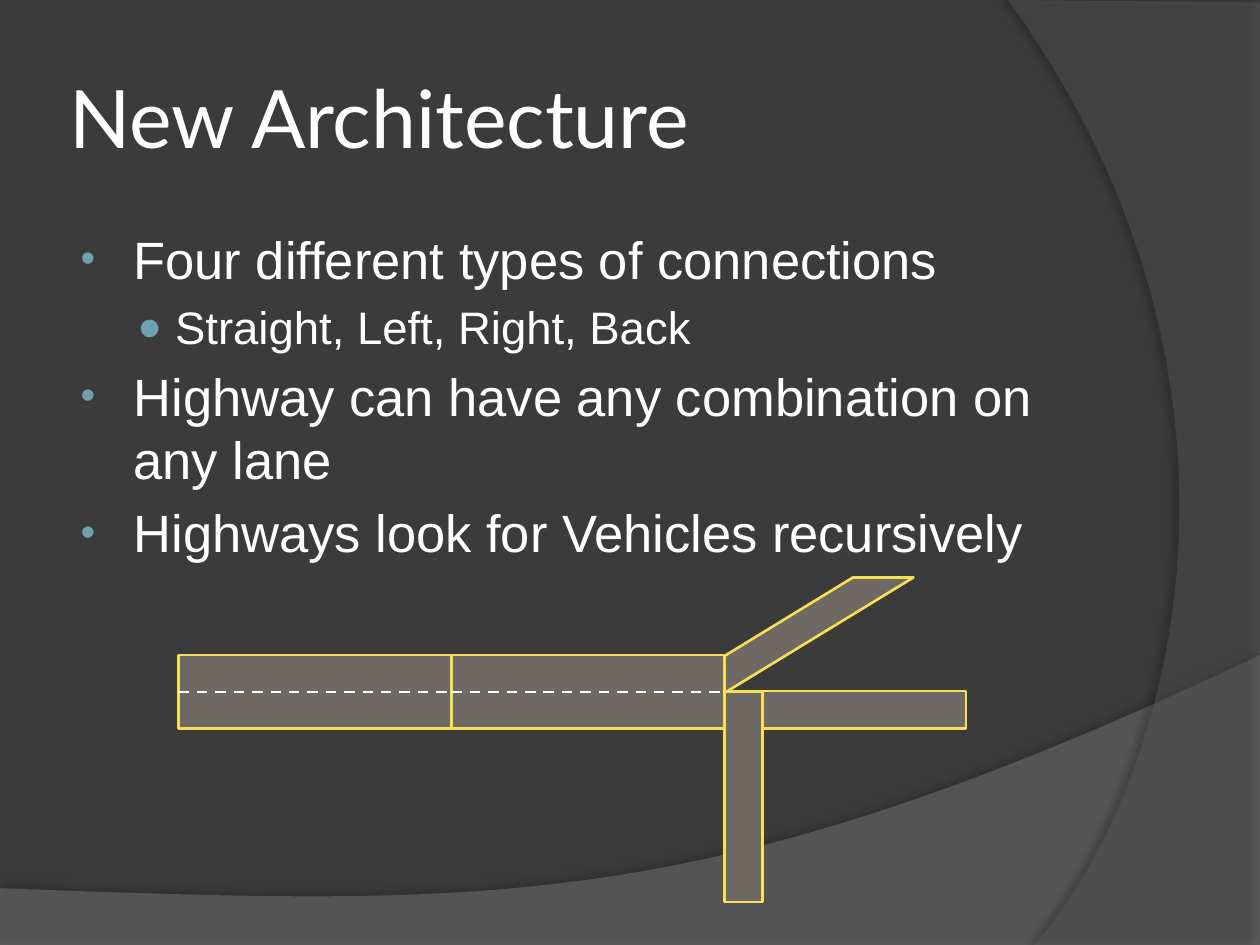
from typing import NamedTuple

from lxml.etree import SubElement as Sub
from pptx import Presentation
from pptx.dml.color import RGBColor as Rgb
from pptx.enum.dml import MSO_LINE as Dash
from pptx.enum.shapes import MSO_CONNECTOR as Conn, MSO_SHAPE as Kind
from pptx.enum.text import MSO_ANCHOR as Anchor, MSO_AUTO_SIZE as Fit, PP_ALIGN as Align
from pptx.oxml.ns import qn
from pptx.util import Inches, Pt

CELL = Inches(1) / 12
WHITE, TEAL, ROAD, EDGE = "FFFFFF", "6EA0B0", "6E6964", "F7DF56"


class Wave(NamedTuple):
    """A translucent background shape; points are in inches."""
    points: list
    fill: str
    alpha: int
    shade: int
    dist: float
    angle: int


class Item(NamedTuple):
    """One bulleted line."""
    text: str
    level: int = 0


class Style(NamedTuple):
    """The look of one list level."""
    size: int
    left: float
    hang: float
    mark: str
    share: int


class Lane(NamedTuple):
    """A road piece in grid columns and rows."""
    col: float
    row: float
    cols: float
    rows: float
    kind: Kind = Kind.RECTANGLE
    split: bool = False


def bend(a, b, c, d, steps=60) -> list:
    """Return points along a cubic curve."""
    def at(t, i):
        s = 1 - t
        return s**3 * a[i] + 3 * s * s * t * b[i] + 3 * s * t * t * c[i] + t**3 * d[i]
    return [(at(n / steps, 0), at(n / steps, 1)) for n in range(steps + 1)]


WAVES = [
    Wave([(0, 7.5), (10, 7.5)] + bend((10, 5.2), (5.59, 7.29), (3.91, 7.19), (0, 7.05)),
         "7F7F7F", 45, 35, 3.5, 270),
    Wave([(10, 0.02), (10, 7.5)] + bend((8.21, 7.5), (9.35, 6.19), (10.18, 3), (8, 0)),
         "5E5E5E", 40, 45, 4, 180),
]
ITEMS = [
    Item("Four different types of connections"),
    Item("Straight, Left, Right, Back", 1),
    Item("Highway can have any combination on any lane"),
    Item("Highways look for Vehicles recursively"),
]
STYLES = [Style(30, 0.46, -0.42, "•", 80), Style(26, 0.79, -0.3, "●", 90)]
LANES = [
    Lane(17, 62.4, 26, 7, split=True),
    Lane(43, 62.4, 26, 7, split=True),
    Lane(69, 55, 18, 11, Kind.DIAGONAL_STRIPE),
    Lane(69, 65.8, 23, 3.6),
    Lane(69, 65.9, 3.6, 20),
]


def paint(form, tone: str) -> None:
    """Give a fill, line or font colour."""
    if hasattr(form, "solid"):
        form.solid()
        form.fore_color.rgb = Rgb.from_string(tone)
    else:
        form.color.rgb = Rgb.from_string(tone)


def place(shape, left: float, top: float, width: float, height: float) -> None:
    """Move a shape to a box in inches."""
    shape.left, shape.top = Inches(left), Inches(top)
    shape.width, shape.height = Inches(width), Inches(height)


def draw_wave(slide, wave: Wave, depth: int) -> None:
    """Draw a wave with its soft shadow behind the text."""
    first, *rest = [(Inches(x), Inches(y)) for x, y in wave.points]
    pen = slide.shapes.build_freeform(*first)
    pen.add_line_segments(rest, close=True)
    shape = pen.convert_to_shape()
    shape.shadow.inherit = False
    paint(shape.fill, wave.fill)
    shape.line.fill.background()
    node = shape.element
    tone = node.spPr.find(qn("a:solidFill")).find(qn("a:srgbClr"))
    Sub(tone, qn("a:alpha"), val=str(wave.alpha * 1000))
    glow = Sub(node.spPr.find(qn("a:effectLst")), qn("a:outerShdw"),
               blurRad=str(Pt(4)), dist=str(Pt(wave.dist)),
               dir=str(wave.angle * 60000), algn="ctr", rotWithShape="0")
    black = Sub(glow, qn("a:srgbClr"), val="000000")
    Sub(black, qn("a:alpha"), val=str(wave.shade * 1000))
    node.getparent().insert(2 + depth, node)


def set_font(para, name: str, size: int) -> None:
    """Set the white face of a paragraph."""
    para.font.name, para.font.size = name, Pt(size)
    paint(para.font, WHITE)


def write_item(para, item: Item) -> None:
    """Fill in one bulleted paragraph."""
    look = STYLES[item.level]
    para.text, para.level = item.text, item.level
    props = para._p.get_or_add_pPr()
    props.set("marL", str(Inches(look.left)))
    props.set("indent", str(Inches(look.hang)))
    Sub(Sub(props, qn("a:buClr")), qn("a:srgbClr"), val=TEAL)
    Sub(props, qn("a:buSzPct"), val=str(look.share * 1000))
    Sub(props, qn("a:buFont"), typeface="Arial")
    Sub(props, qn("a:buChar"), char=look.mark)
    set_font(para, "Arial", look.size)


def write_text(slide) -> None:
    """Fill the title and the list."""
    title, body = slide.placeholders
    place(title, 0.5, 0.3, 8.17, 1.25)
    frame = title.text_frame
    frame.text, frame.vertical_anchor = "New Architecture", Anchor.MIDDLE
    frame.margin_left = frame.margin_right = Inches(0.05)
    frame.auto_size = Fit.NONE
    head = frame.paragraphs[0]
    head.alignment = Align.LEFT
    set_font(head, "Lato", 46)
    place(body, 0.5, 1.75, 8.17, 4.95)
    frame = body.text_frame
    frame.auto_size = Fit.NONE
    for n, item in enumerate(ITEMS):
        write_item(frame.add_paragraph() if n else frame.paragraphs[0], item)


def draw_lane(shapes, lane: Lane) -> None:
    """Draw a road piece and, if split, its dashed centre line."""
    left, top, width, height = [round(v * CELL) for v in lane[:4]]
    road = shapes.add_shape(lane.kind, left, top, width, height)
    road.shadow.inherit = False
    paint(road.fill, ROAD)
    paint(road.line, EDGE)
    road.line.width = Pt(1.5)
    if lane.kind == Kind.DIAGONAL_STRIPE:
        road.adjustments[0] = 0.68
    if lane.split:
        mid = top + height // 2
        mark = shapes.add_connector(Conn.STRAIGHT, left, mid, left + width, mid)
        paint(mark.line, WHITE)
        mark.line.width, mark.line.dash_style = Pt(1.5), Dash.DASH
        Sub(mark.element.spPr, qn("a:effectLst"))


def main() -> None:
    """Build and save the slide."""
    deck = Presentation()
    deck.slide_width, deck.slide_height = Inches(10), Inches(7.5)
    slide = deck.slides.add_slide(deck.slide_layouts[1])
    paint(slide.background.fill, "3B3B3B")
    for depth, wave in enumerate(WAVES):
        draw_wave(slide, wave, depth)
    write_text(slide)
    group = slide.shapes.add_group_shape()
    for lane in LANES:
        draw_lane(group.shapes, lane)
    deck.save("out.pptx")


if __name__ == "__main__":
    main()
